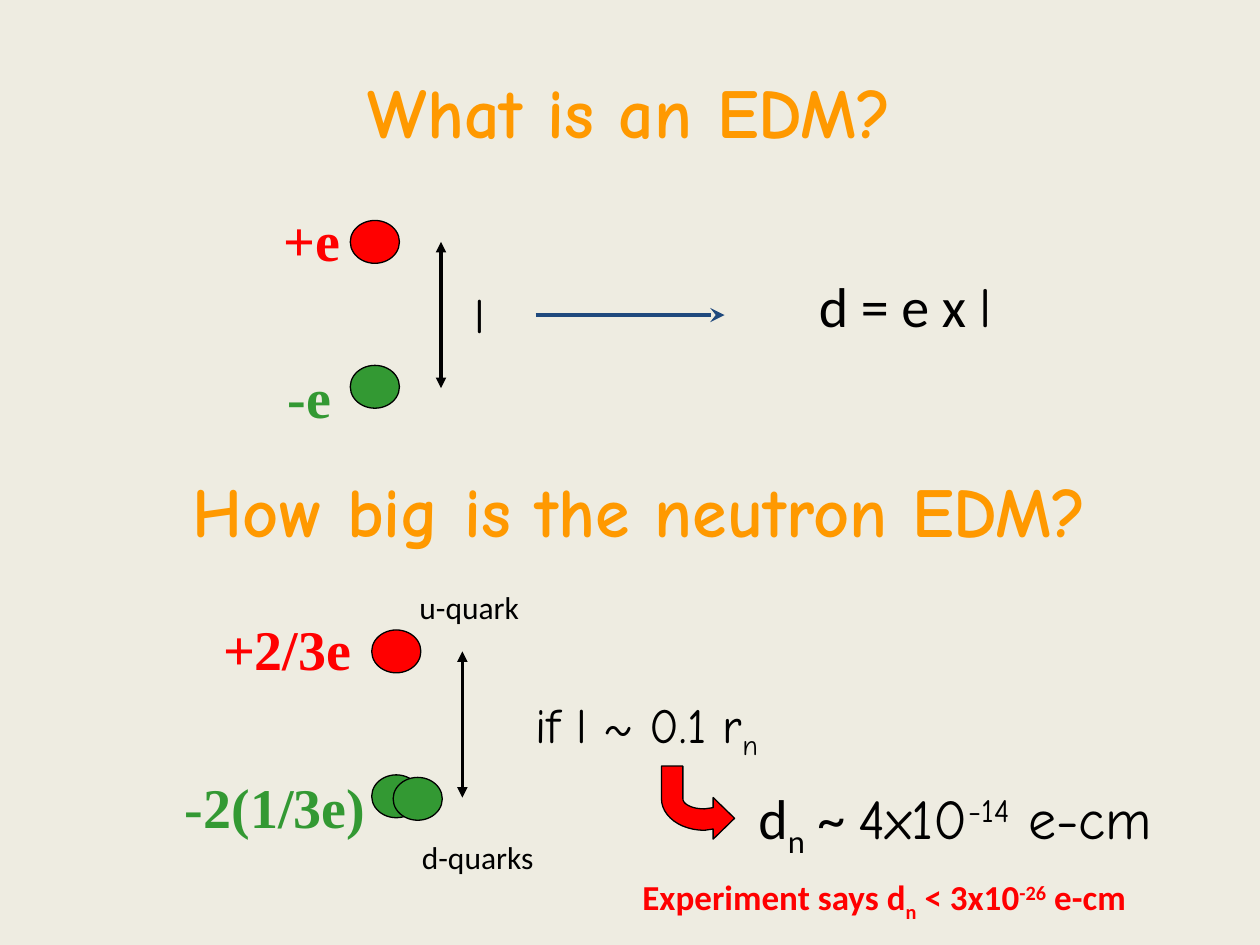
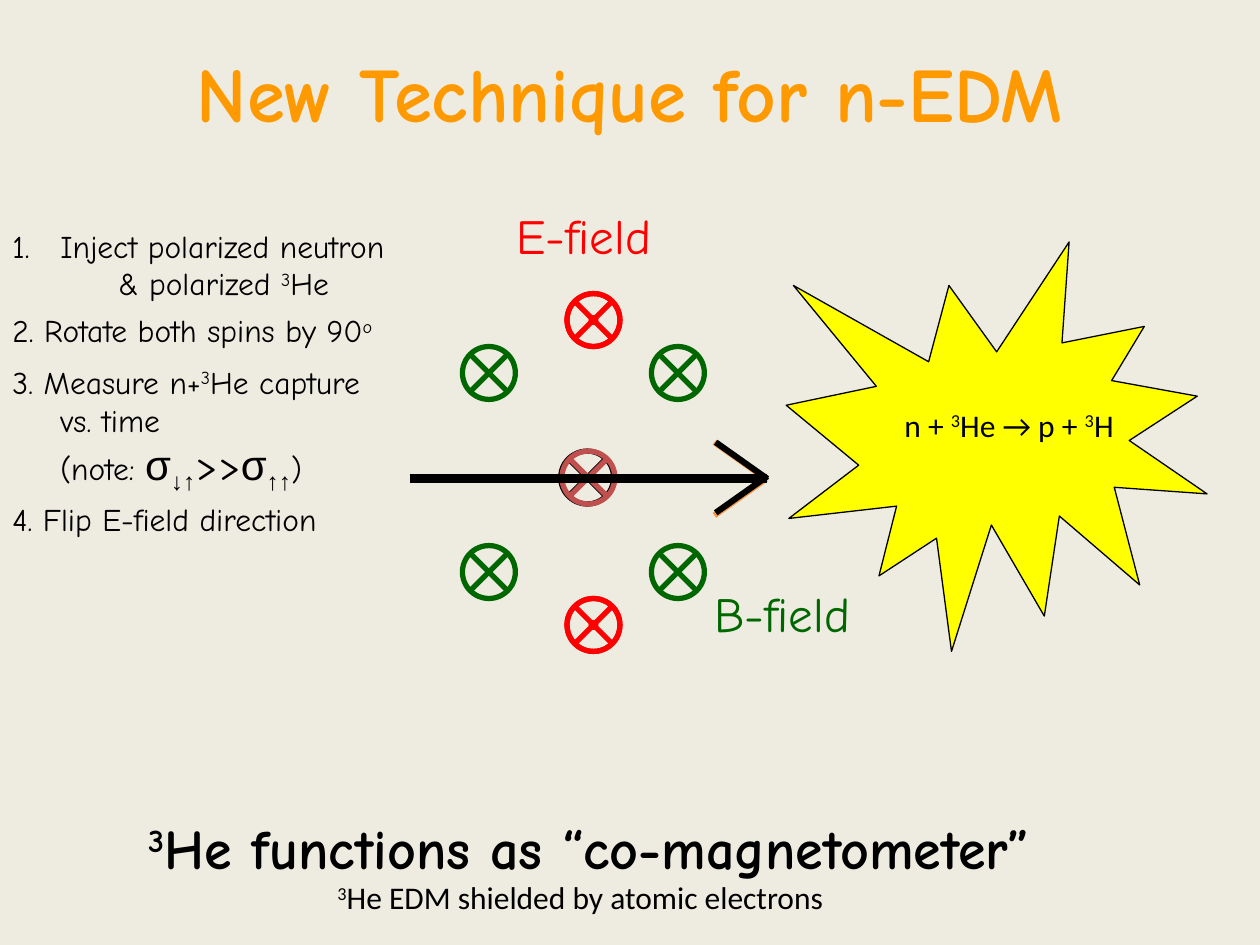
from dataclasses import dataclass
from math import cos, pi, sin

from lxml.etree import SubElement
from pptx import Presentation
from pptx.dml.color import RGBColor
from pptx.enum.shapes import MSO_CONNECTOR, MSO_SHAPE
from pptx.enum.text import MSO_ANCHOR, MSO_AUTO_SIZE, PP_ALIGN
from pptx.oxml.ns import qn
from pptx.util import Inches, Pt

CELL = Inches(0.1)  # the slide is a grid of 100 columns by 75 rows
COLUMNS, ROWS = 100, 75
SUB, SUPER = -25, 30


@dataclass(frozen=True)
class Theme:
    background: str = "EEECE1"
    title: str = "FF9900"
    ink: str = "000000"
    red: str = "FF0000"
    green: str = "339933"
    field_green: str = "006600"
    blue: str = "1F497D"
    brick: str = "C0504D"
    orange: str = "F79646"
    yellow: str = "FFFF00"
    hand: str = "Comic Neue"
    body: str = "Calibri"
    serif: str = "Times New Roman"
    symbol: str = "Arial"
    title_size: int = 40
    large_title_size: int = 44
    formula_size: int = 32
    label_size: int = 28
    sigma_size: int = 24
    result_size: int = 20
    note_size: int = 18
    outline: float = 0.75


THEME = Theme()


@dataclass(frozen=True)
class Box:
    left: float
    top: float
    width: float
    height: float

    def area(self, left, top, width, height):
        return Box(self.left + left, self.top + top, width, height)

    def point(self, column, row):
        return cells(self.left + column), cells(self.top + row)

    def emu(self):
        return [cells(n) for n in (self.left, self.top, self.width, self.height)]


@dataclass(frozen=True)
class Span:
    text: str
    baseline: int = 0
    font: str = ""
    size: int = 0


@dataclass(frozen=True)
class Line:
    """One paragraph: its spans, left margin and first-line indent in cells."""
    spans: tuple
    margin: float = 0
    indent: float = 0
    numbered: bool = False


def cells(count):
    return round(count * CELL)


def rgb(colour):
    return RGBColor.from_string(colour)


def add_text(page, box, lines, font, size, colour=THEME.ink, bold=False,
             align=PP_ALIGN.LEFT, wrap=False, anchor=MSO_ANCHOR.TOP):
    frame = page.shapes.add_textbox(*box.emu()).text_frame
    frame.word_wrap = wrap
    frame.auto_size = MSO_AUTO_SIZE.NONE if wrap else MSO_AUTO_SIZE.SHAPE_TO_FIT_TEXT
    frame.vertical_anchor = anchor
    if isinstance(lines, str):
        lines = [Line((Span(lines),))]
    for number, line in enumerate(lines):
        para = frame.add_paragraph() if number else frame.paragraphs[0]
        para.alignment = align
        if line.margin:
            properties = para._p.get_or_add_pPr()
            properties.set("marL", str(cells(line.margin)))
            properties.set("indent", str(cells(line.indent)))
            if line.numbered:
                SubElement(properties, qn("a:buFont"), typeface="+mj-lt")
                SubElement(properties, qn("a:buAutoNum"), type="arabicPeriod")
        for span in line.spans:
            run = para.add_run()
            run.text = span.text
            run.font.name = span.font or font
            run.font.size = Pt(span.size or size)
            run.font.bold = bold
            run.font.color.rgb = rgb(colour)
            if span.baseline:
                run._r.get_or_add_rPr().set("baseline", str(span.baseline * 1000))


def paint(shape, fill=None, line=None, weight=THEME.outline):
    shape.shadow.inherit = False
    if fill:
        shape.fill.solid()
        shape.fill.fore_color.rgb = rgb(fill)
    else:
        shape.fill.background()
    if line:
        shape.line.color.rgb = rgb(line)
        shape.line.width = Pt(weight)
    else:
        shape.line.fill.background()


def add_shape(page, kind, box, **style):
    paint(page.shapes.add_shape(kind, *box.emu()), **style)


def add_line(page, start, end, colour, weight, head=None, tail=None):
    line = page.shapes.add_connector(MSO_CONNECTOR.STRAIGHT, *start, *end)
    line.line.color.rgb = rgb(colour)
    line.line.width = Pt(weight)
    properties = line.element.spPr
    outline = properties.find(qn("a:ln"))
    for tag, kind in (("a:headEnd", head), ("a:tailEnd", tail)):
        if kind:
            SubElement(outline, qn(tag), type=kind)
    SubElement(properties, qn("a:effectLst"))


def add_heading(page, box, text, size=THEME.title_size):
    add_text(page, box, text, THEME.hand, size, THEME.title, bold=True,
             align=PP_ALIGN.CENTER, wrap=True, anchor=MSO_ANCHOR.MIDDLE)


def add_dipole(page, box, positive, negative, negative_count=1):
    """Two charges and their distance; each label is (text, left, width)."""
    charges = ((positive, THEME.red, 0, 1),
               (negative, THEME.green, 12.5, negative_count))
    for (text, left, width), colour, row, count in charges:
        top = 1.7 if row == 0 else 13.2
        for index in range(count):
            ball = box.area(15.8 + 1.7 * index, top + 0.2 * index, 3.9, 3.4)
            add_shape(page, MSO_SHAPE.OVAL, ball, fill=colour, line=THEME.ink)
        add_text(page, box.area(left, row, width, 6.3), text, THEME.serif,
                 THEME.formula_size, colour, bold=True, align=PP_ALIGN.CENTER)
    add_line(page, box.point(23, 3.4), box.point(23, 15), THEME.ink, 2,
             "triangle", "triangle")


def add_definition(page, box):
    add_text(page, box.area(0, 1, 3.3, 5.7), "l", THEME.hand, THEME.label_size)
    add_line(page, box.point(5.8, 3.9), box.point(20.8, 3.9), THEME.blue, 2.75,
             tail="stealth")
    formula = Line((Span("d = e x "), Span("l", font=THEME.hand)))
    add_text(page, box.area(27.3, 0, 16.3, 6.4), [formula], THEME.body,
             THEME.formula_size)


def add_bent_arrow(page, box):
    """A bar that comes down, turns through a quarter ellipse and points right."""
    bar, bend, steps = 1.7, 3.4, 12
    tip_row, head = box.height - 1.65, box.width - 1.7
    shoulder = box.height - 3.2

    def quarter(radius_x, radius_y):
        angles = [pi / 2 * step / steps for step in range(steps + 1)]
        return [(bend - radius_x * sin(a), shoulder + radius_y * cos(a)) for a in angles]

    outline = [(box.width, tip_row), (head, box.height), (head, tip_row + 0.85),
               *quarter(bend, 2.5), (0, 0), (bar, 0),
               *reversed(quarter(bend - bar, 0.8)),
               (head, tip_row - 0.85), (head, tip_row - 1.65)]
    points = [box.point(*corner) for corner in outline]
    builder = page.shapes.build_freeform(*points[0], scale=1.0)
    builder.add_line_segments(points[1:], close=True)
    paint(builder.convert_to_shape(), fill=THEME.red, line=THEME.ink)


def add_estimate(page, box):
    radius = Line((Span("if l ~ 0.1 r"), Span("n", SUB)))
    add_text(page, box.area(0, 0, 22, 5.7), [radius], THEME.hand, THEME.label_size)
    add_bent_arrow(page, box.area(11, 6.2, 5.8, 5.8))
    size = Line((Span("d"), Span("n", SUB), Span(" ~ "),
                 Span("4x10", font=THEME.hand),
                 Span("-14", SUPER, THEME.hand),
                 Span(" e-cm", font=THEME.hand)))
    add_text(page, box.area(17.7, 7.1, 36.9, 6.3), [size], THEME.body,
             THEME.formula_size)
    limit = Line((Span("Experiment says d"), Span("n", SUB), Span(" < 3x10"),
                  Span("-26", SUPER), Span(" e-cm")))
    add_text(page, box.area(8.5, 14.4, 46.8, 4.3), [limit], THEME.body,
             THEME.result_size, THEME.red, bold=True)


def add_steps(page, box):
    hang = dict(margin=3.8, indent=-3.8)
    sigma = dict(font=THEME.symbol, size=THEME.sigma_size)
    steps = (
        (0, 35.2, 7, [
            Line((Span("Inject polarized neutron"),), numbered=True, **hang),
            Line((Span("& polarized "), Span("3", SUPER), Span("He")), margin=8.4)]),
        (6.7, 33.7, 4, [
            Line((Span("2. Rotate both spins by 90"), Span("o", SUPER)), **hang)]),
        (10.8, 32.1, 11, [
            Line((Span("3. Measure n+"), Span("3", SUPER), Span("He capture")), **hang),
            Line((Span("vs. time"),), margin=3.8),
            Line((Span("(note: "), Span("σ", **sigma), Span("↓↑", SUB, **sigma),
                  Span(">>", size=THEME.sigma_size), Span("σ", **sigma),
                  Span("↑↑", SUB, **sigma), Span(")")), margin=3.8)]),
        (21.7, 29.2, 4, [Line((Span("4. Flip E-field direction"),), **hang)]),
    )
    for row, width, height, lines in steps:
        add_text(page, box.area(0, row, width, height), lines, THEME.hand,
                 THEME.note_size)


def add_spin_arrow(page, box, shaft, barbs, lift=0):
    """A long shaft with two open barbs meeting at its right end."""
    middle = box.height / 2
    tip, back = box.width, box.width - 4.1
    add_line(page, box.point(0, middle), box.point(tip, middle), shaft, 5)
    add_line(page, box.point(back, box.height - lift),
             box.point(tip, middle - lift), barbs, 3.5)
    add_line(page, box.point(back, 0), box.point(tip, middle), barbs, 3.5)


def add_field_cell(page, box):
    side = 4.2

    def cross(column, row, colour, kind=MSO_SHAPE.FLOWCHART_SUMMING_JUNCTION):
        add_shape(page, kind, box.area(column, row, side, side), line=colour, weight=3)

    cross(12, 20, THEME.ink)
    for column in (4.2, 19.2):
        for row in (11.7, 27.5):
            cross(column, row, THEME.field_green)
    for row in (7.5, 31.7):
        cross(12.5, row, THEME.red)
        cross(12.5, row, THEME.red, MSO_SHAPE.OVAL)
        add_shape(page, MSO_SHAPE.OVAL, box.area(14.2, row + 1.7, 0.8, 0.8),
                  fill=THEME.red)
    cross(12.1, 20, THEME.brick)
    labels = (("E-field", 7.5, 0, THEME.red), ("B-field", 23.2, 30, THEME.field_green))
    for text, column, row, colour in labels:
        add_text(page, box.area(column, row, 14.6, 5.7), text, THEME.hand,
                 THEME.label_size, colour)
    add_spin_arrow(page, box.area(0, 19.3, 28.3, 5.8), THEME.brick, THEME.orange)
    add_spin_arrow(page, box.area(0, 19.3, 28.4, 5.8), THEME.ink, THEME.ink, lift=0.2)


def add_capture(page, box):
    add_shape(page, MSO_SHAPE.EXPLOSION1, box, fill=THEME.yellow, line=THEME.ink)
    reaction = Line((Span("n + "), Span("3", SUPER), Span("He → p + "),
                     Span("3", SUPER), Span("H")))
    add_text(page, box.area(8.4, 12.5, 19.3, 4), [reaction], THEME.body,
             THEME.note_size)


def add_conclusion(page, box):
    claim = Line((Span("3", SUPER), Span("He functions as “co-magnetometer”")))
    add_text(page, box.area(0, 0, box.width, 6.3), [claim], THEME.hand,
             THEME.formula_size, bold=True, align=PP_ALIGN.CENTER)
    reason = Line((Span("3", SUPER), Span("He EDM shielded by atomic electrons")))
    add_text(page, box.area(19.5, 5.1, 41.6, 4), [reason], THEME.body, THEME.note_size)


def add_page(deck):
    page = deck.slides.add_slide(deck.slide_layouts[6])
    page.background.fill.solid()
    page.background.fill.fore_color.rgb = rgb(THEME.background)
    return page


def build_dipole_page(deck):
    page = add_page(deck)
    add_heading(page, Box(7.5, 2.5, 85, 12.5), "What is an EDM?")
    add_dipole(page, Box(12, 15.8, 25, 19), ("+e", 9.5, 6.5), ("-e", 9.8, 5.5))
    add_definition(page, Box(36.7, 21.1, 44, 7))
    add_heading(page, Box(8.3, 34.2, 85, 12.5), "How big is the neutron EDM?")
    quarks = Box(13.7, 48.3, 25, 19)
    add_dipole(page, quarks, ("+2/3e", 3, 12.2), ("-2(1/3e)", 0, 16.3),
               negative_count=2)
    for name, column, row, width in (("u-quark", 18.6, -2.1, 10.5),
                                     ("d-quarks", 18.8, 17.7, 11.7)):
        add_text(page, quarks.area(column, row, width, 4), name, THEME.body,
                 THEME.note_size)
    add_estimate(page, Box(41.5, 54.6, 56, 19))


def build_technique_page(deck):
    page = add_page(deck)
    add_heading(page, Box(5, 1, 90, 12.5), "New Technique for n-EDM",
                THEME.large_title_size)
    add_steps(page, Box(0, 17.5, 36, 26))
    add_field_cell(page, Box(32.5, 15.8, 38, 36))
    add_capture(page, Box(62.4, 19.2, 33.4, 32.5))
    add_conclusion(page, Box(6.3, 64.1, 80.9, 9))


def main():
    deck = Presentation()
    deck.slide_width, deck.slide_height = COLUMNS * CELL, ROWS * CELL
    build_dipole_page(deck)
    build_technique_page(deck)
    deck.save("out.pptx")


if __name__ == "__main__":
    main()
